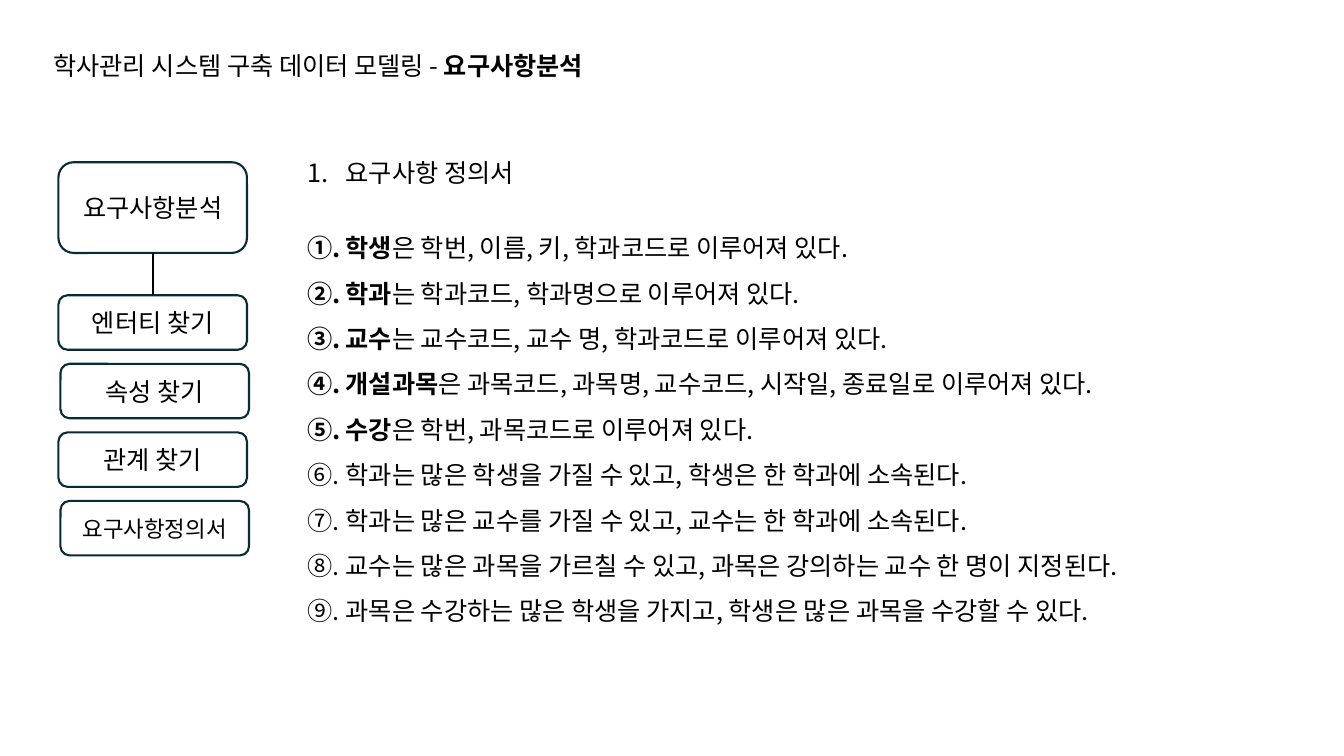
from pptx import Presentation
from pptx.dml.color import RGBColor
from pptx.enum.shapes import MSO_CONNECTOR, MSO_SHAPE
from pptx.enum.text import MSO_ANCHOR, MSO_AUTO_SIZE, PP_ALIGN
from pptx.oxml.xmlchemy import OxmlElement
from pptx.util import Inches, Pt

FONT = "Noto Sans CJK KR"
COLORS = {"text": "000000", "outline": "092A39", "background": "FFFFFF"}
MAIN_STEP = "요구사항분석"
STEPS = [("엔터티 찾기", 18), ("속성 찾기", 18), ("관계 찾기", 18), ("요구사항정의서", 16)]
REQUIREMENTS = [
    ("학생", "은 학번, 이름, 키, 학과코드로 이루어져 있다."),
    ("학과", "는 학과코드, 학과명으로 이루어져 있다."),
    ("교수", "는 교수코드, 교수 명, 학과코드로 이루어져 있다."),
    ("개설과목", "은 과목코드, 과목명, 교수코드, 시작일, 종료일로 이루어져 있다."),
    ("수강", "은 학번, 과목코드로 이루어져 있다."),
    ("", "학과는 많은 학생을 가질 수 있고, 학생은 한 학과에 소속된다."),
    ("", "학과는 많은 교수를 가질 수 있고, 교수는 한 학과에 소속된다."),
    ("", "교수는 많은 과목을 가르칠 수 있고, 과목은 강의하는 교수 한 명이 지정된다."),
    ("", "과목은 수강하는 많은 학생을 가지고, 학생은 많은 과목을 수강할 수 있다."),
]


def color(name):
    return RGBColor.from_string(COLORS[name])


def add_text(paragraph, text, size=18, bold=False):
    run = paragraph.add_run()
    run.text = text
    run.font.name = FONT
    run.font.size = Pt(size)
    run.font.bold = bold
    run.font.color.rgb = color("text")
    east_asian = OxmlElement("a:ea")
    east_asian.set("typeface", FONT)
    run.font._element.find("{*}latin").addnext(east_asian)


def number_paragraph(paragraph, style):
    properties = paragraph._p.get_or_add_pPr()
    properties.set("marL", str(Inches(0.38)))
    properties.set("indent", str(Inches(-0.38)))
    numbering = OxmlElement("a:buAutoNum")
    numbering.set("type", style)
    properties.append(numbering)


def place_title(slide, left, top, width, height):
    title = slide.shapes.title
    title.left, title.top = Inches(left), Inches(top)
    title.width, title.height = Inches(width), Inches(height)
    frame = title.text_frame
    frame.word_wrap = True
    frame.auto_size = MSO_AUTO_SIZE.NONE
    frame.vertical_anchor = MSO_ANCHOR.TOP
    paragraph = frame.paragraphs[0]
    paragraph.alignment = PP_ALIGN.LEFT
    add_text(paragraph, "학사관리 시스템 구축 데이터 모델링 - ")
    add_text(paragraph, MAIN_STEP, bold=True)


def add_step(slide, text, size, left, top, width, height):
    shape = slide.shapes.add_shape(
        MSO_SHAPE.ROUNDED_RECTANGLE, Inches(left), Inches(top), Inches(width), Inches(height)
    )
    shape.shadow.inherit = False
    shape.fill.background()
    shape.line.color.rgb = color("outline")
    shape.line.width = Pt(1.5)
    frame = shape.text_frame
    frame.word_wrap = True
    frame.vertical_anchor = MSO_ANCHOR.MIDDLE
    frame.paragraphs[0].alignment = PP_ALIGN.CENTER
    add_text(frame.paragraphs[0], text, size)
    return shape


def add_process(slide, left, top, width):
    main = add_step(slide, MAIN_STEP, 18, left, top, width, 0.9)
    steps = [
        add_step(slide, text, size, left + 0.02 * (index % 2), top + 1.32 + 0.68 * index, width, 0.54)
        for index, (text, size) in enumerate(STEPS)
    ]
    connector = slide.shapes.add_connector(MSO_CONNECTOR.STRAIGHT, 0, 0, 0, 0)
    connector.begin_connect(main, 2)
    connector.end_connect(steps[0], 0)
    connector.line.color.rgb = color("text")
    connector.line.width = Pt(1.5)
    connector._element.spPr.append(OxmlElement("a:effectLst"))


def add_requirements(slide, left, top, width, height):
    box = slide.shapes.add_textbox(Inches(left), Inches(top), Inches(width), Inches(height))
    frame = box.text_frame
    frame.word_wrap = True
    heading = frame.paragraphs[0]
    heading.space_after = Pt(21.6)
    number_paragraph(heading, "arabicPeriod")
    add_text(heading, "요구사항 정의서")
    for entity, sentence in REQUIREMENTS:
        paragraph = frame.add_paragraph()
        paragraph.line_spacing = 1.5
        number_paragraph(paragraph, "circleNumDbPlain")
        if entity:
            add_text(paragraph, entity, bold=True)
        add_text(paragraph, sentence)


def main():
    presentation = Presentation()
    presentation.slide_width = Inches(13.33)
    presentation.slide_height = Inches(7.5)
    slide = presentation.slides.add_slide(presentation.slide_layouts[5])
    slide.background.fill.solid()
    slide.background.fill.fore_color.rgb = color("background")
    place_title(slide, 0.43, 0.45, 6.14, 0.4)
    add_process(slide, 0.58, 1.61, 1.87)
    add_requirements(slide, 2.95, 1.51, 9.25, 4.74)
    presentation.save("out.pptx")


if __name__ == "__main__":
    main()
